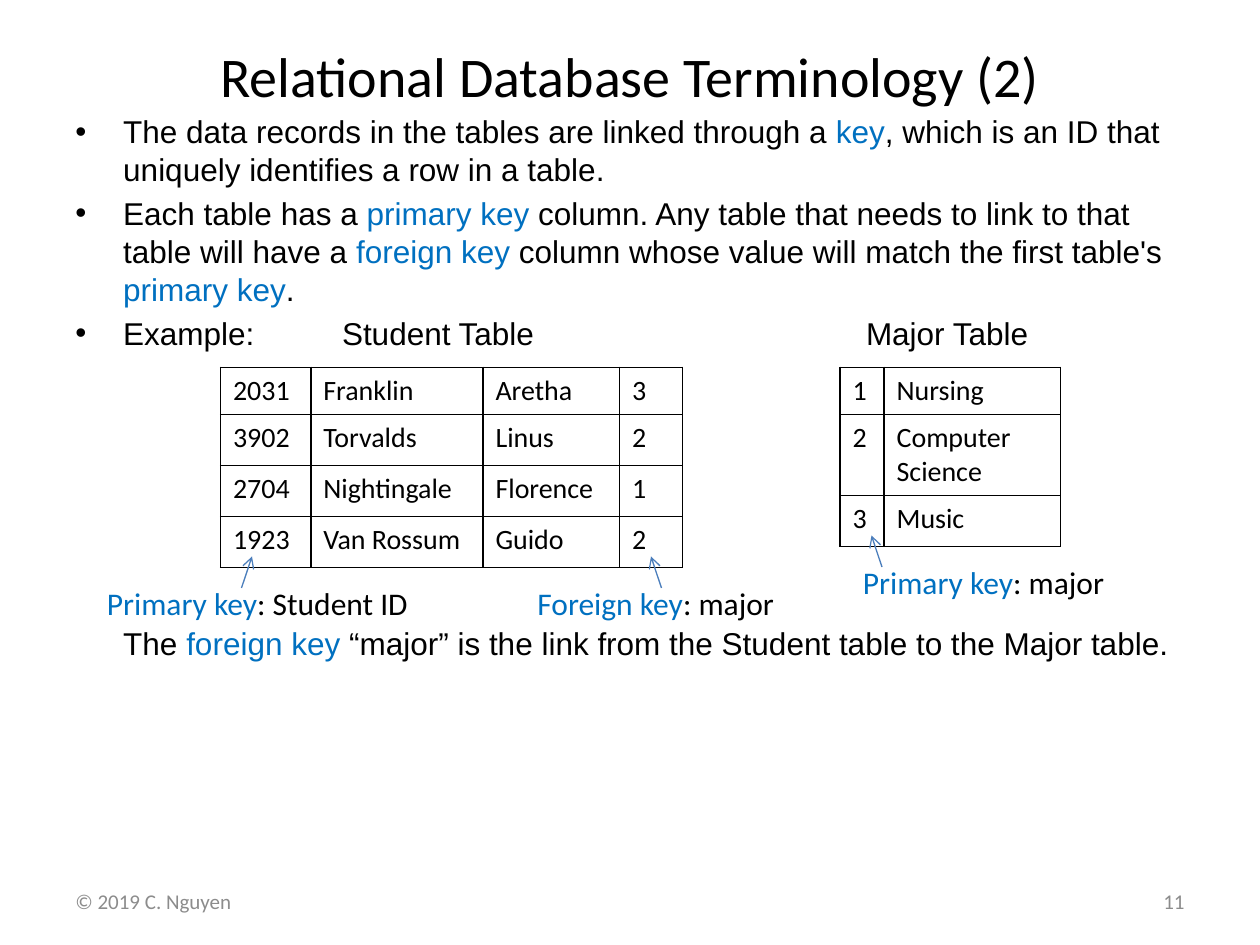
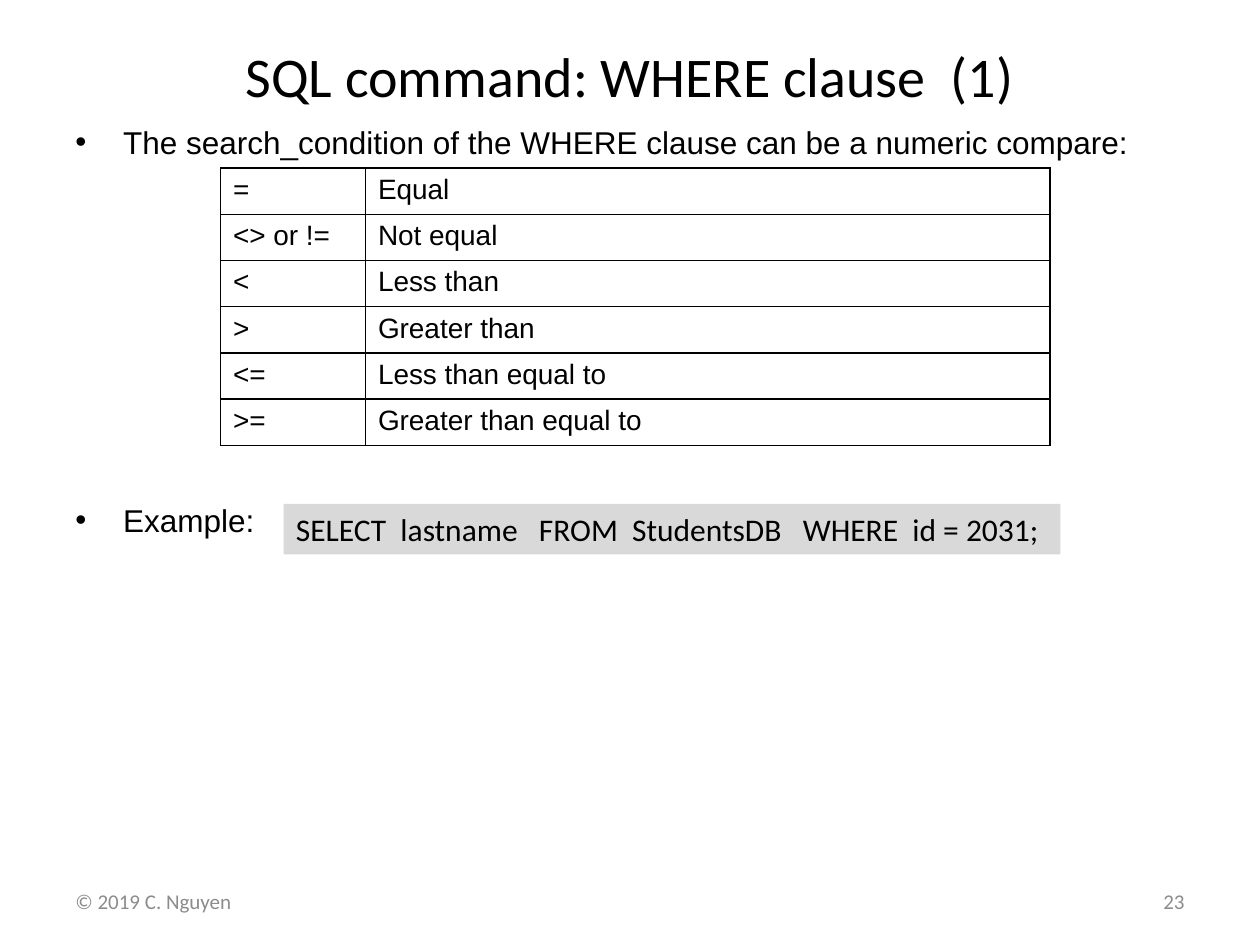
from lxml import etree
from pptx import Presentation
from pptx import util as u
from pptx.dml.color import RGBColor
from pptx.enum import shapes, text
from pptx.oxml import parse_xml
from pptx.oxml.ns import nsdecls, qn

BLACK = RGBColor(0x00, 0x00, 0x00)
WHITE = RGBColor(0xFF, 0xFF, 0xFF)
KEY_BLUE = RGBColor(0x00, 0x70, 0xC0)
ARROW_BLUE = RGBColor(0x4B, 0x7E, 0xBC)
CODE_GRAY = RGBColor(0xD9, 0xD9, 0xD9)
FOOTER_GRAY = RGBColor(0x8C, 0x8C, 0x8C)

HEADING_FONT, BODY_FONT = "Calibri", "Arial"
HANGING = u.Inches(0.38)

deck = Presentation()
deck.slide_width, deck.slide_height = u.Inches(10), u.Inches(7.5)

# The grid has 120 columns and 90 rows.
MARGIN, CONTENT_WIDTH = 6, 108
TABLE_LEFT, LINE_HEIGHT = 21, 4.8


def grid(*steps):
    """Turn counts of grid steps into lengths."""
    return [round(step * deck.slide_width / 120) for step in steps]


def write(frame, *paragraphs, font=BODY_FONT, size=18, color=BLACK, bullet=False,
          align=text.PP_ALIGN.LEFT, anchor=text.MSO_ANCHOR.TOP):
    """Fill a text frame; terms between asterisks turn blue."""
    frame.word_wrap = True
    if anchor != text.MSO_ANCHOR.TOP:
        frame.vertical_anchor = anchor
    for index, words in enumerate(paragraphs):
        paragraph = frame.add_paragraph() if index else frame.paragraphs[0]
        if bullet:
            props = paragraph._p.get_or_add_pPr()
            props.set("marL", str(HANGING))
            props.set("indent", str(-HANGING))
            etree.SubElement(props, qn("a:buFont"), typeface=BODY_FONT)
            etree.SubElement(props, qn("a:buChar"), char="•")
        paragraph.alignment = align
        if index:
            paragraph.space_before = u.Pt(size * 0.2)
        for position, part in enumerate(words.split("*")):
            if part:
                run = paragraph.add_run()
                run.text = part
                run.font.name, run.font.size = font, u.Pt(size)
                run.font.color.rgb = KEY_BLUE if position % 2 else color


# Titles and footers
pages = []
for title, number in [("Relational Database Terminology (2)", "11"),
                      ("SQL command: WHERE clause  (1)", "23")]:
    page = deck.slides.add_slide(deck.slide_layouts[6])
    pages.append(page)
    heading = page.shapes.add_textbox(*grid(MARGIN, 2, CONTENT_WIDTH, 10.4))
    write(heading.text_frame, title, font=HEADING_FONT, size=32,
          align=text.PP_ALIGN.CENTER, anchor=text.MSO_ANCHOR.MIDDLE)
    for words, left, align in [("© 2019 C. Nguyen", MARGIN, text.PP_ALIGN.LEFT),
                               (number, 86, text.PP_ALIGN.RIGHT)]:
        footer = page.shapes.add_textbox(*grid(left, 83.4, 28, LINE_HEIGHT))
        write(footer.text_frame, words, font=HEADING_FONT, size=12,
              color=FOOTER_GRAY, align=align, anchor=text.MSO_ANCHOR.MIDDLE)
terminology, where_clause = pages

# Bulleted text
for page, top, height, points in [
    (terminology, 10.1, 24, [
        "The data records in the tables are linked through a *key*, which is an ID "
        "that uniquely identifies a row in a table.",
        "Each table has a *primary key *column. Any table that needs to link to that "
        "table will have a *foreign key *column whose value will match the first "
        "table's *primary key*.",
        "Example:"]),
    (where_clause, 11.1, LINE_HEIGHT, [
        "The search_condition of the WHERE clause can be a numeric compare:"]),
    (where_clause, 47.1, LINE_HEIGHT, ["Example:"]),
]:
    body = page.shapes.add_textbox(*grid(MARGIN, top, CONTENT_WIDTH, height))
    write(body.text_frame, *points, bullet=True)

# Table captions, key labels and the conclusion
for words, font, left, top, width in [
    ("Student Table", BODY_FONT, 31.4, 29.3, 24),
    ("Major Table", BODY_FONT, 81.3, 29.3, 24),
    ("*Primary key*: Student ID", HEADING_FONT, 9, 55, 32),
    ("*Foreign key*: major", HEADING_FONT, 50, 55, 26),
    ("*Primary key*: major", HEADING_FONT, 81, 53, 26),
    ("The *foreign key *“major” is the link from the Student table to the Major table.",
     BODY_FONT, 10.56, 58.8, 103.4),
]:
    line = terminology.shapes.add_textbox(*grid(left, top, width, LINE_HEIGHT))
    write(line.text_frame, words, font=font)

# Tables
students = [("2031", "Franklin", "Aretha", "3"),
            ("3902", "Torvalds", "Linus", "2"),
            ("2704", "Nightingale", "Florence", "1"),
            ("1923", "Van Rossum", "Guido", "2")]
majors = [("1", "Nursing"), ("2", "Computer Science"), ("3", "Music")]
comparisons = [("=", "Equal"), ("<> or !=", "Not equal"), ("<", "Less than"),
               (">", "Greater than"), ("<=", "Less than equal to"),
               (">=", "Greater than equal to")]

for page, records, font, left, top, widths, heights in [
    (terminology, students, HEADING_FONT, TABLE_LEFT, 35,
     (8.6, 16.4, 13, 6), (4.5, 4.85, 4.85, 4.85)),
    (terminology, majors, HEADING_FONT, 80, 35, (4.2, 16.8), (4.5, 7.7, 4.85)),
    (where_clause, comparisons, BODY_FONT, TABLE_LEFT, 16,
     (13.8, 65.2), (4.4,) * len(comparisons)),
]:
    table = page.shapes.add_table(len(heights), len(widths), *grid(
        left, top, sum(widths), sum(heights))).table
    table.first_row = table.horz_banding = False
    for column, width in zip(table.columns, grid(*widths)):
        column.width = width
    for row, height, record in zip(table.rows, grid(*heights), records):
        row.height = height
        for cell, value in zip(row.cells, record):
            write(cell.text_frame, value, font=font, size=16)
            for side in ("lnL", "lnR", "lnT", "lnB"):
                cell._tc.get_or_add_tcPr().append(parse_xml(
                    f'<a:{side} {nsdecls("a")} w="{u.Pt(1)}"><a:solidFill>'
                    f'<a:srgbClr val="{BLACK}"/></a:solidFill></a:{side}>'))
            cell.fill.solid()
            cell.fill.fore_color.rgb = WHITE

# Arrows from the labels up to the key columns
for start, tip, bottom in [(23, 24, 56), (63, 62, 56), (84, 83, 54)]:
    arrow = terminology.shapes.add_connector(
        shapes.MSO_CONNECTOR.STRAIGHT, *grid(start, bottom, tip, bottom - 3))
    arrow.line.color.rgb = ARROW_BLUE
    arrow.line.width = u.Pt(0.75)
    etree.SubElement(arrow.line._get_or_add_ln(), qn("a:tailEnd"), type="arrow")
    etree.SubElement(arrow._element.spPr, qn("a:effectLst"))

# Sample query
query = where_clause.shapes.add_shape(
    shapes.MSO_SHAPE.RECTANGLE, *grid(27, 48, 74, LINE_HEIGHT))
query.shadow.inherit = False
query.fill.solid()
query.fill.fore_color.rgb = CODE_GRAY
query.line.fill.background()
write(query.text_frame, "SELECT  lastname   FROM  StudentsDB   WHERE  id = 2031;",
      font=HEADING_FONT)

deck.save("out.pptx")
